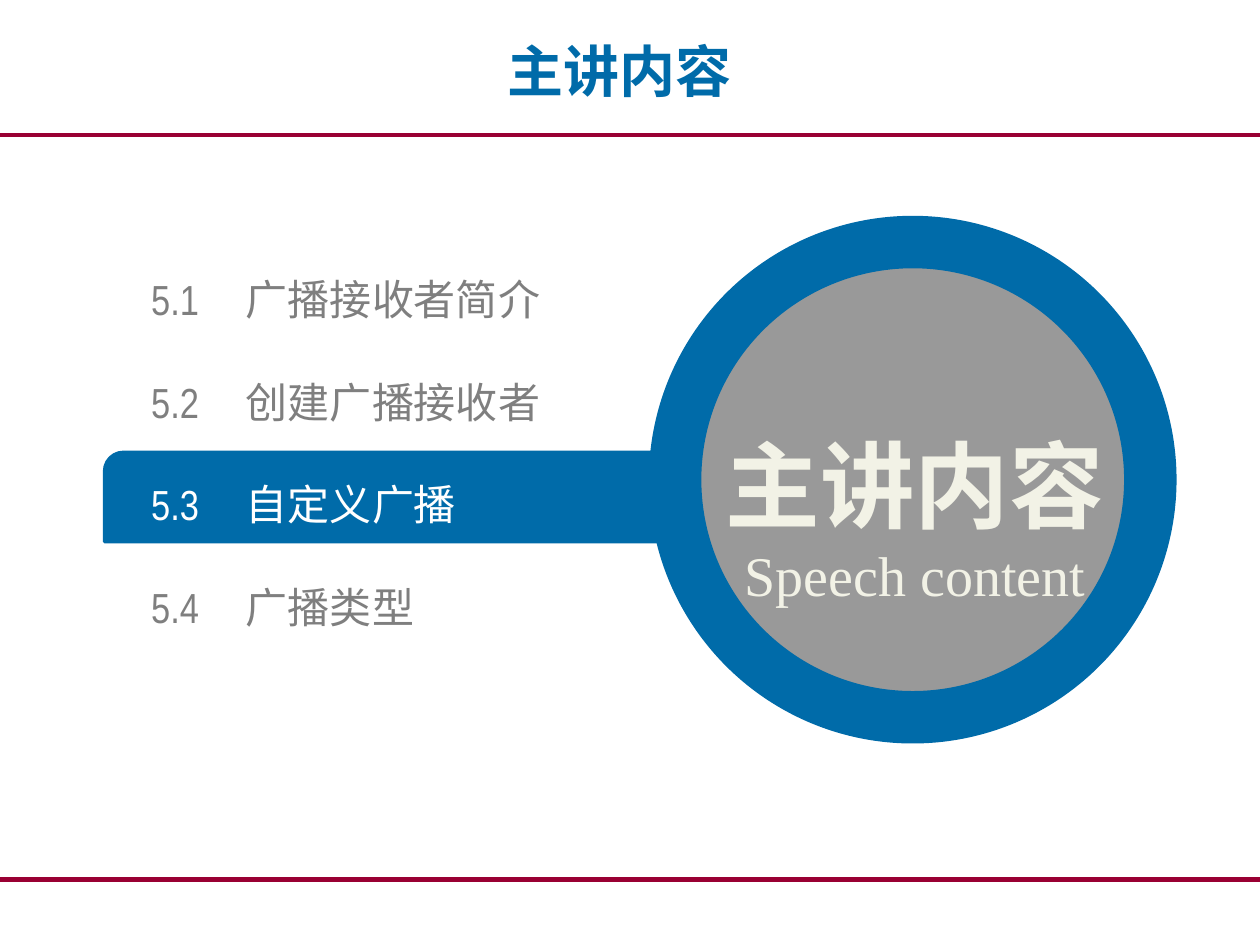
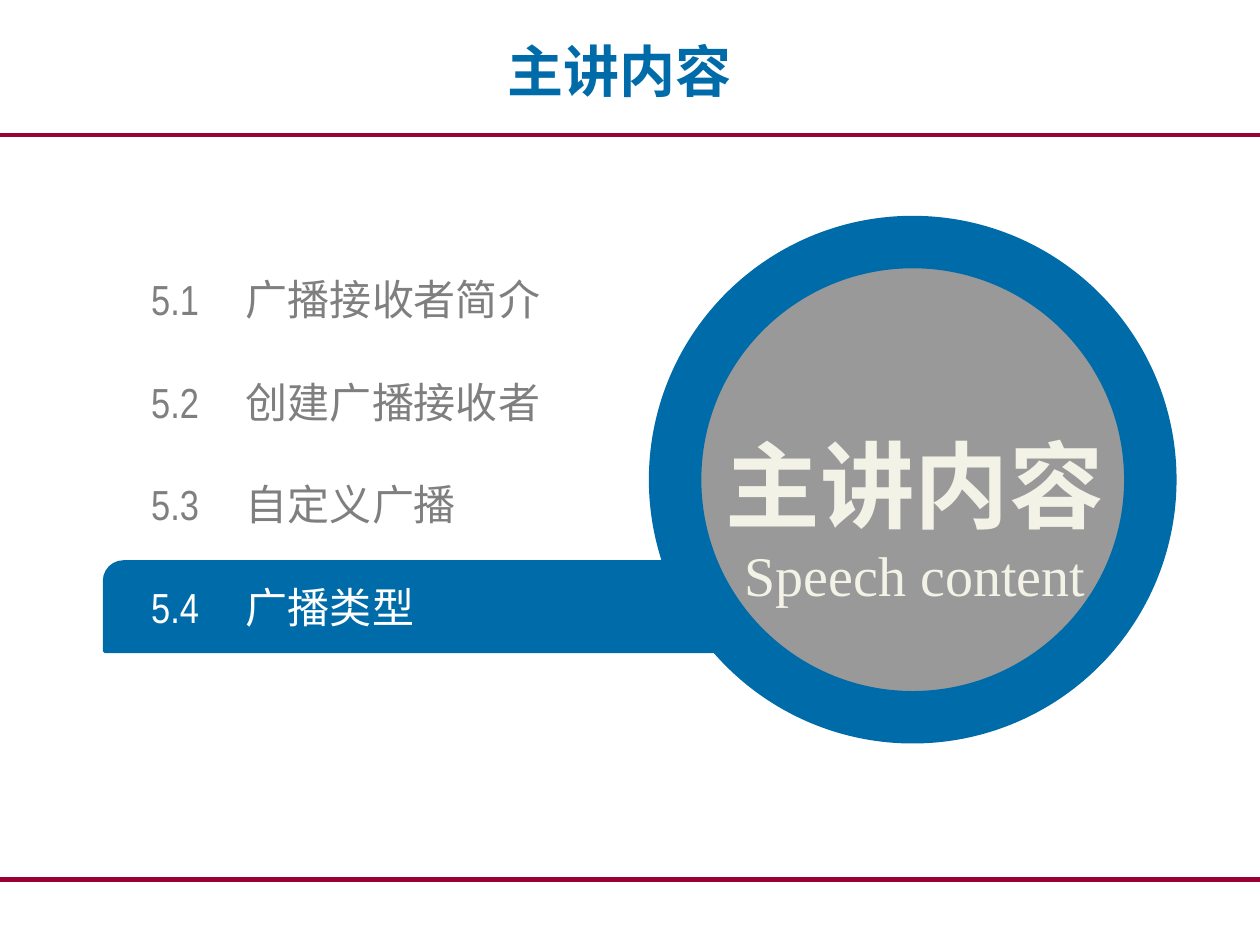
from dataclasses import dataclass

from lxml import etree
from pptx import Presentation
from pptx.dml.color import RGBColor
from pptx.enum import shapes, text
from pptx.oxml import ns
from pptx.util import Cm, Pt


@dataclass(frozen=True)
class Theme:
    blue: str = "006BA9"
    crimson: str = "990033"
    disc: str = "999999"
    muted: str = "7F7F7F"
    white: str = "FFFFFF"
    cream: str = "F2F2E6"
    heading_font: str = "Noto Sans CJK SC"
    item_font: str = "Arial Narrow"
    english_font: str = "Times New Roman"
    title_size: int = 32
    item_size: int = 24
    disc_size: int = 54


THEME = Theme()
HEADING = "主讲内容"
TOPICS = [
    ("5.1", "广播接收者简介"),
    ("5.2", "创建广播接收者"),
    ("5.3", "自定义广播"),
    ("5.4", "广播类型"),
]
# Number of the current topic and the top of its bar in cm
AGENDAS = [("5.3", 9.12), ("5.4", 11.33)]
TOPIC_TOP, TOPIC_PITCH = 5.51, 2.07


def format_paragraph(paragraph, font, size, color, bold=False, align=None):
    """Set the font for Latin and East Asian text alike."""
    paragraph.alignment = align
    paragraph.font.name = font
    paragraph.font.size = Pt(size)
    paragraph.font.bold = bold
    paragraph.font.color.rgb = RGBColor.from_string(color)
    defaults = paragraph._p.pPr.find(ns.qn("a:defRPr"))
    east_asian = etree.Element(ns.qn("a:ea"), typeface=THEME.heading_font)
    defaults.find(ns.qn("a:latin")).addnext(east_asian)


def add_tab_stop(paragraph, position):
    defaults = paragraph._p.pPr.find(ns.qn("a:defRPr"))
    tabs = etree.Element(ns.qn("a:tabLst"))
    etree.SubElement(tabs, ns.qn("a:tab"), pos=str(position), algn="l")
    defaults.addprevious(tabs)


def add_rule(slide, top, width):
    """Full-width line across the slide."""
    rule = slide.shapes.add_connector(
        shapes.MSO_CONNECTOR.STRAIGHT, 0, Cm(top), Cm(25.4), Cm(top))
    rule.line.color.rgb = RGBColor.from_string(THEME.crimson)
    rule.line.width = Pt(width)
    etree.SubElement(rule._element.spPr, ns.qn("a:effectLst"))


def add_figure(slide, kind, left, top, width, height, fill, line_width):
    """Preset shape with a blue outline."""
    figure = slide.shapes.add_shape(
        kind, Cm(left), Cm(top), Cm(width), Cm(height))
    figure.shadow.inherit = False
    figure.fill.solid()
    figure.fill.fore_color.rgb = RGBColor.from_string(fill)
    figure.line.color.rgb = RGBColor.from_string(THEME.blue)
    figure.line.width = Pt(line_width)
    return figure


def add_text_frame(slide, left, top, width, height):
    frame = slide.shapes.add_textbox(
        Cm(left), Cm(top), Cm(width), Cm(height)).text_frame
    frame.word_wrap = True
    frame.vertical_anchor = text.MSO_ANCHOR.MIDDLE
    return frame


def set_title(slide):
    title = slide.shapes.title
    title.left, title.top = Cm(1.07), Cm(0.15)
    title.width, title.height = Cm(22.86), Cm(2.51)
    title.text_frame.text = HEADING
    title.text_frame.vertical_anchor = text.MSO_ANCHOR.MIDDLE
    format_paragraph(title.text_frame.paragraphs[0], THEME.heading_font,
                     THEME.title_size, THEME.blue, True, text.PP_ALIGN.CENTER)


def add_topic(slide, top, number, name, color):
    frame = add_text_frame(slide, 3.05, top, 10.64, 1.02)
    frame.margin_left = frame.margin_right = 0
    frame.margin_top = frame.margin_bottom = 0
    topic = frame.paragraphs[0]
    topic.text = f"{number}\t{name}"
    format_paragraph(topic, THEME.item_font, THEME.item_size, color)
    add_tab_stop(topic, Cm(1.91))


def add_disc(slide):
    add_figure(slide, shapes.MSO_SHAPE.OVAL, 13.61, 4.88, 9.58, 9.58,
               THEME.disc, 30)
    frame = add_text_frame(slide, 13.49, 7.34, 9.91, 5.05)
    chinese, english = frame.paragraphs[0], frame.add_paragraph()
    chinese.text = HEADING
    format_paragraph(chinese, THEME.heading_font, THEME.disc_size,
                     THEME.cream, True, text.PP_ALIGN.CENTER)
    chinese.line_spacing = 1.5
    english.text = "Speech content"
    format_paragraph(english, THEME.english_font, THEME.title_size,
                     THEME.cream, False, text.PP_ALIGN.CENTER)


def add_agenda(deck, current, bar_top):
    slide = deck.slides.add_slide(deck.slide_layouts[5])
    # Shared frame
    add_rule(slide, 17.73, 3)
    add_rule(slide, 2.72, 2)
    set_title(slide)
    # Bar behind the current topic
    bar = add_figure(slide, shapes.MSO_SHAPE.ROUND_2_DIAG_RECTANGLE,
                     2.11, bar_top, 13.59, 1.8, THEME.blue, 2)
    bar.adjustments[0] = 0.21
    # Topics
    for row, (number, name) in enumerate(TOPICS):
        color = THEME.white if number == current else THEME.muted
        add_topic(slide, TOPIC_TOP + row * TOPIC_PITCH, number, name, color)
    add_disc(slide)


def main():
    deck = Presentation()
    deck.slide_width, deck.slide_height = Cm(25.4), Cm(19.05)
    for current, bar_top in AGENDAS:
        add_agenda(deck, current, bar_top)
    deck.save("out.pptx")


main()
